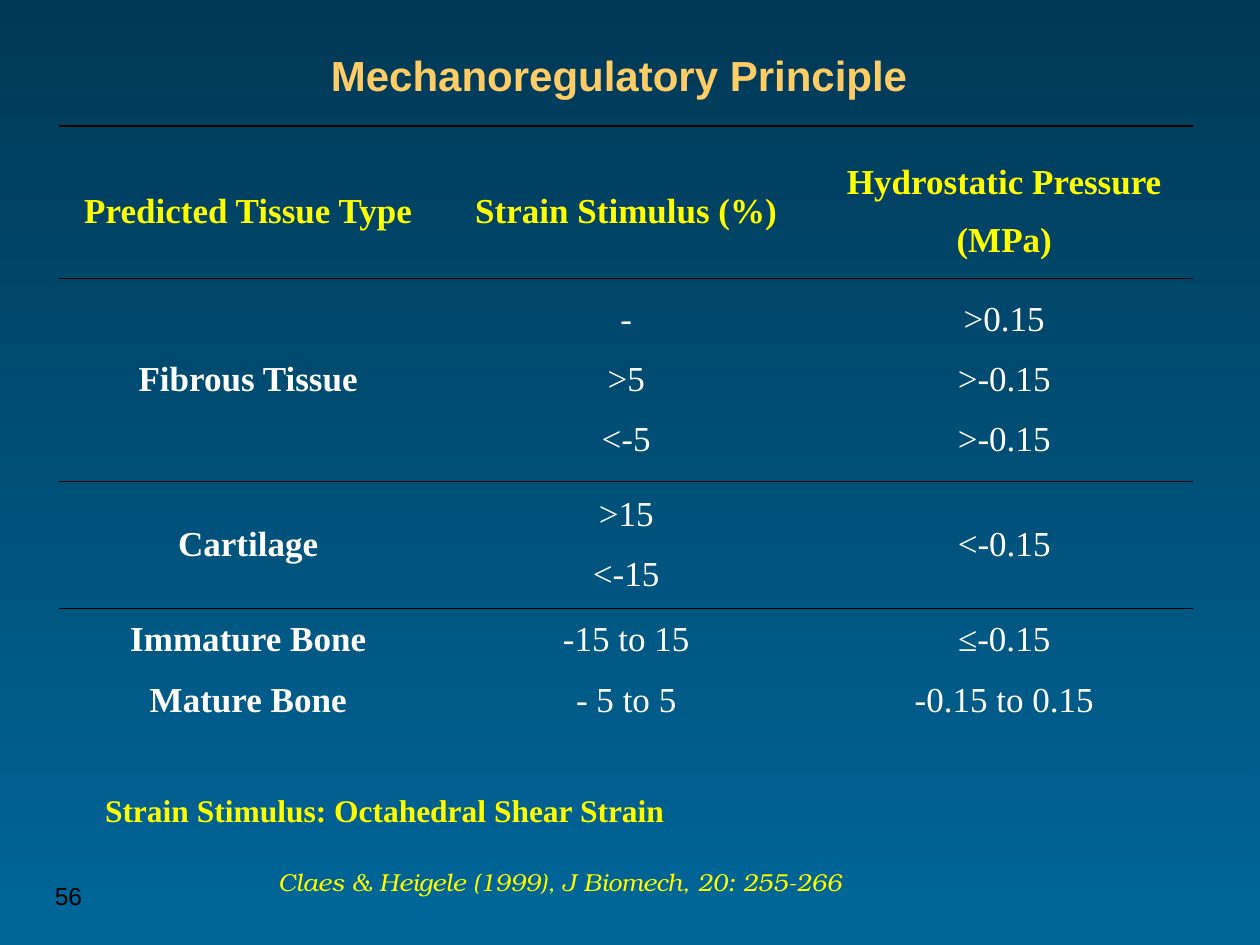
from dataclasses import dataclass

from lxml import etree
from pptx import Presentation
from pptx.dml.color import RGBColor
from pptx.enum.text import MSO_ANCHOR, PP_ALIGN
from pptx.oxml.ns import qn
from pptx.util import Inches, Pt

CENTER, RIGHT = PP_ALIGN.CENTER, PP_ALIGN.RIGHT
TOP, MIDDLE = MSO_ANCHOR.TOP, MSO_ANCHOR.MIDDLE
SERIF = "Times New Roman"
YELLOW, WHITE, BLACK, GOLD = "FFFF00", "FFFFFF", "000000", "FFCC66"
NO_GRID_STYLE = "{2D5ABB26-0587-4C30-8999-92F81FD0307C}"
TITLE_ONLY_LAYOUT = 5


@dataclass(frozen=True)
class TextStyle:
    size: float
    name: str
    color: str
    bold: bool = False
    italic: bool = False
    alignment: PP_ALIGN = CENTER
    line_spacing: float = 1.0
    space_before: float = 0


@dataclass(frozen=True)
class TextBox:
    text: str
    box: tuple[float, float, float, float]
    style: TextStyle


@dataclass(frozen=True)
class TableRow:
    height: float
    cells: tuple[str, str, str]
    borders: tuple[str, ...] = ()


HEADER_STYLE = TextStyle(20, SERIF, YELLOW, bold=True, line_spacing=1.5)
TISSUE_STYLE = TextStyle(20, SERIF, WHITE, bold=True)
VALUE_STYLE = TextStyle(20, SERIF, WHITE, space_before=12)

TITLE = TextBox("Mechanoregulatory Principle ", (1.67, 0.18, 6.58, 0.82),
                TextStyle(24, "Arial", GOLD, bold=True))

TABLE_ROWS = (
    TableRow(1.21, ("Predicted Tissue Type", "Strain Stimulus (%)",
                    "Hydrostatic Pressure (MPa)"), ("lnT", "lnB")),
    TableRow(1.61, ("Fibrous Tissue", "-\n>5\n<-5", ">0.15\n>-0.15\n>-0.15"),
             ("lnT", "lnB")),
    TableRow(1.01, ("Cartilage", ">15\n<-15", "<-0.15"), ("lnT",)),
    TableRow(0.49, ("Immature Bone", "-15 to 15", "≤-0.15")),
    TableRow(0.49, ("Mature Bone", "- 5 to 5", "-0.15 to 0.15")),
)
COLUMN_WIDTH = 3

TEXT_BOXES = (
    TextBox("56", (0.12, 6.94, 0.63, 0.41),
            TextStyle(14, "Arial", BLACK, alignment=RIGHT)),
    TextBox("Claes & Heigele (1999), J Biomech, 20: 255-266",
            (0.47, 6.83, 7.95, 0.34),
            TextStyle(14, "TeX Gyre Bonum", YELLOW, italic=True)),
    TextBox("Strain Stimulus: Octahedral Shear Strain ",
            (0.67, 6.08, 4.83, 0.51),
            TextStyle(18, SERIF, YELLOW, bold=True, line_spacing=1.5)),
)


def rgb(color: str) -> RGBColor:
    return RGBColor.from_string(color)


def write_text(text_frame, text: str, style: TextStyle) -> None:
    text_frame.text = text
    font_values = {"size": Pt(style.size), "name": style.name,
                   "bold": style.bold, "italic": style.italic}
    for index, paragraph in enumerate(text_frame.paragraphs):
        paragraph.alignment = style.alignment
        paragraph.line_spacing = style.line_spacing
        paragraph.space_before = Pt(style.space_before if index else 0)
        for run in paragraph.runs:
            for attribute, value in font_values.items():
                setattr(run.font, attribute, value)
            run.font.color.rgb = rgb(style.color)


def fill_text_shape(shape, content: TextBox, anchor: MSO_ANCHOR) -> None:
    shape.left, shape.top, shape.width, shape.height = map(Inches, content.box)
    shape.text_frame.word_wrap = True
    shape.text_frame.vertical_anchor = anchor
    write_text(shape.text_frame, content.text, content.style)


def add_border(cell, side: str) -> None:
    properties = cell._tc.get_or_add_tcPr()
    line = etree.SubElement(properties, qn(f"a:{side}"), w=str(Pt(1)))
    fill = etree.SubElement(line, qn("a:solidFill"))
    etree.SubElement(fill, qn("a:srgbClr"), val=BLACK)


def cell_style(row_index: int, column_index: int) -> TextStyle:
    if row_index == 0:
        return HEADER_STYLE
    return VALUE_STYLE if column_index else TISSUE_STYLE


def add_tissue_table(slide) -> None:
    column_count = len(TABLE_ROWS[0].cells)
    frame = slide.shapes.add_table(
        len(TABLE_ROWS), column_count, Inches(0.47), Inches(1),
        Inches(COLUMN_WIDTH * column_count),
        Inches(sum(row.height for row in TABLE_ROWS)))
    table = frame.table
    table.first_row = table.horz_banding = False
    table._tbl.tblPr.find(qn("a:tableStyleId")).text = NO_GRID_STYLE
    for row_index, row in enumerate(TABLE_ROWS):
        table.rows[row_index].height = Inches(row.height)
        for column_index, text in enumerate(row.cells):
            cell = table.cell(row_index, column_index)
            for side in ("left", "right", "top", "bottom"):
                setattr(cell, f"margin_{side}", 0)
            cell.vertical_anchor = MIDDLE
            for border in row.borders:
                add_border(cell, border)
            cell.fill.background()
            write_text(cell.text_frame, text,
                       cell_style(row_index, column_index))


def paint_background(slide) -> None:
    fill = slide.background.fill
    fill.gradient()
    fill.gradient_angle = 270
    for stop, color in zip(fill.gradient_stops, ("003956", "006699")):
        stop.color.rgb = rgb(color)


def main() -> None:
    presentation = Presentation()
    presentation.slide_width = Inches(10)
    presentation.slide_height = Inches(7.5)
    layout = presentation.slide_layouts[TITLE_ONLY_LAYOUT]
    slide = presentation.slides.add_slide(layout)
    paint_background(slide)
    add_tissue_table(slide)
    fill_text_shape(slide.shapes.title, TITLE, MIDDLE)
    for content in TEXT_BOXES:
        shape = slide.shapes.add_textbox(*map(Inches, content.box))
        fill_text_shape(shape, content, TOP)
    presentation.save("out.pptx")


if __name__ == "__main__":
    main()
